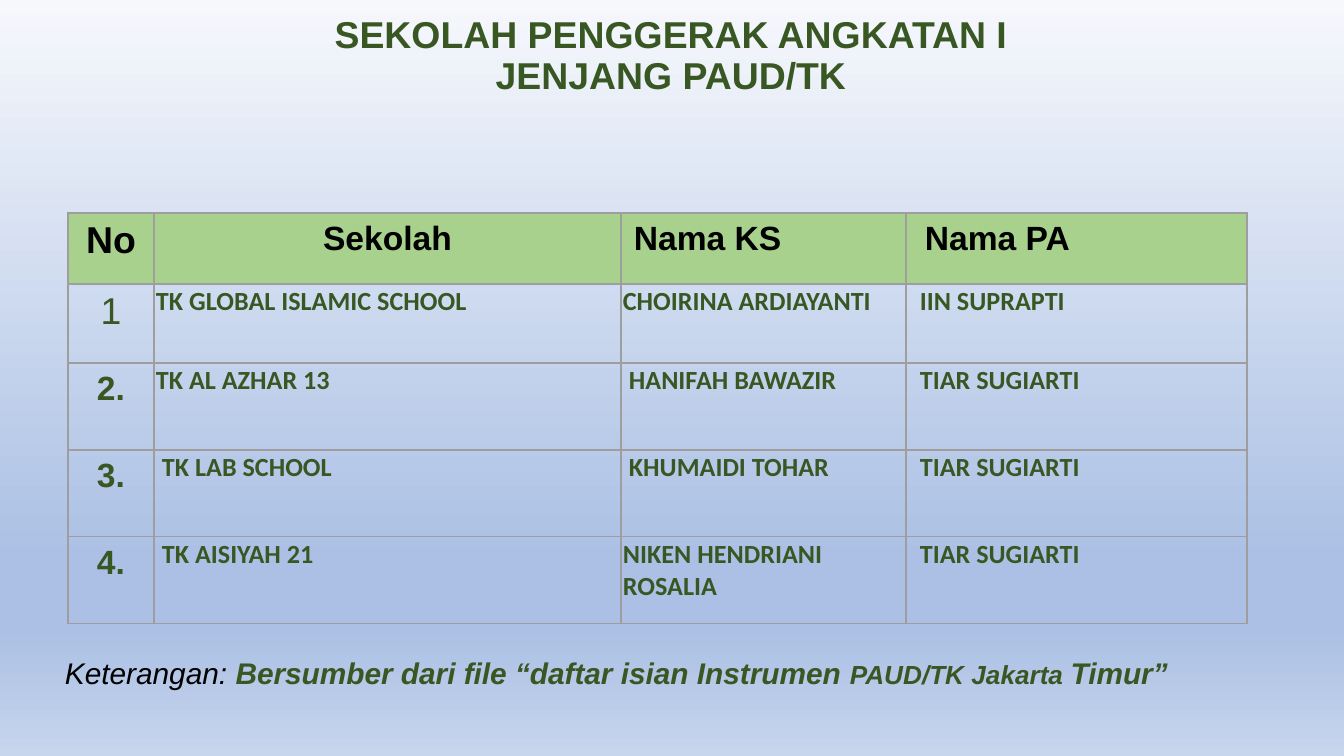
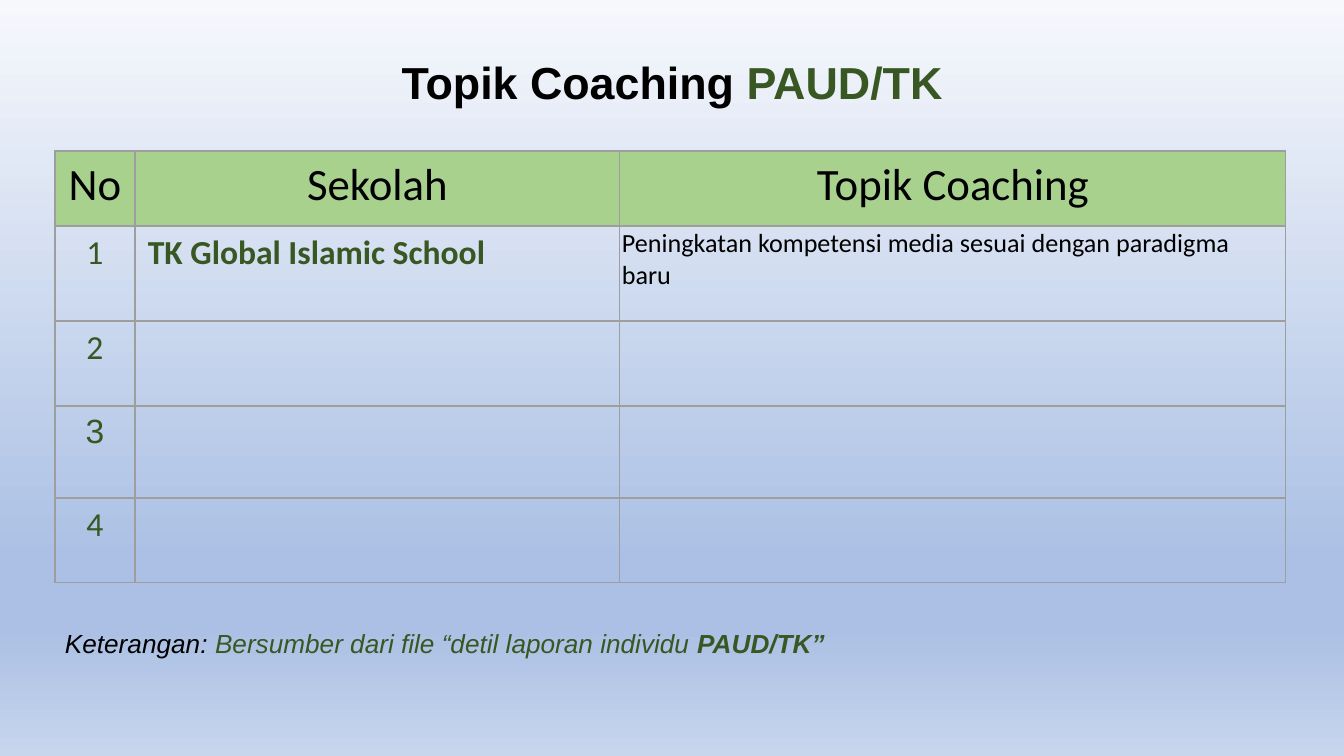
"""Build two slides on PAUD/TK schools: the school list and the coaching topics."""
from lxml import etree
from pptx import Presentation
from pptx.dml.color import RGBColor
from pptx.enum.text import MSO_ANCHOR, MSO_AUTO_SIZE, PP_ALIGN
from pptx.oxml import parse_xml
from pptx.oxml.ns import nsdecls, qn
from pptx.util import Emu, Pt

LEFT, CENTER = PP_ALIGN.LEFT, PP_ALIGN.CENTER
TOP, MIDDLE = MSO_ANCHOR.TOP, MSO_ANCHOR.MIDDLE
NO_FIT = MSO_AUTO_SIZE.NONE
EMU_PER_PX = 914400 / 134.4
NO_STYLE = "{2D5ABB26-0587-4C30-8999-92F81FD0307C}"
COLORS = {"green": "385723", "black": "000000", "header": "A9D18E", "border": "9E9E9E"}
SKY = [(0, "F6F8FC"), (74, "ABC0E4"), (83, "ABC0E4"), (100, "C7D5ED")]
PAD, TIGHT, SPACE = 13, 2, 6


def px(length):
    return Emu(round(length * EMU_PER_PX))


def write(paragraph, spans, face, align=LEFT, italic=False):
    paragraph.alignment = align
    paragraph.font.name = face
    paragraph.font.italic = italic
    for text, size, color, bold in spans:
        for line_index, line in enumerate(text.split("\n")):
            if line_index:
                paragraph.add_line_break()
            span = paragraph.add_run()
            span.text = line
            font = paragraph.font if len(spans) == 1 else span.font
            font.size = Pt(size)
            font.bold = bold
            font.color.rgb = RGBColor.from_string(COLORS[color])


schools = [
    ("TK GLOBAL ISLAMIC SCHOOL", 0, "CHOIRINA ARDIAYANTI", 0, "IIN SUPRAPTI"),
    ("TK AL AZHAR 13", 0, "HANIFAH BAWAZIR", 1, "TIAR SUGIARTI"),
    ("TK LAB SCHOOL", 1, "KHUMAIDI TOHAR", 1, "TIAR SUGIARTI"),
    ("TK AISIYAH 21", 1, "NIKEN HENDRIANI ROSALIA", 0, "TIAR SUGIARTI"),
]
school_cells = [[
    ("No", 20, "black", True, "Arial", CENTER, PAD),
    ("Sekolah", 18, "black", True, "Arial", CENTER, PAD),
    ("Nama KS", 18, "black", True, "Arial", LEFT, PAD),
    ("Nama PA", 18, "black", True, "Arial", LEFT, PAD + SPACE),
]]
for index, (school, school_indent, head, head_indent, assistant) in enumerate(schools, 1):
    text, points, bold = ("1", 20, False) if index == 1 else (f"{index}.", 18, True)
    entries = [(school, school_indent), (head, head_indent), (assistant, 2)]
    school_cells.append([(text, points, "green", bold, "Arial", CENTER, PAD)] + [
        (name, 14, "green", True, "Calibri", LEFT, TIGHT + indent * SPACE)
        for name, indent in entries
    ])

topic_cells = [[(text, 24, "black", False, "Calibri", CENTER, PAD)
                for text in ("No", "Sekolah", "Topik Coaching")]]
for index, face in enumerate(("Calibri", "Calibri", "Arial", "Calibri"), 1):
    topic_cells.append([(str(index), 18, "green", False, face, CENTER, PAD), None, None])
topic_cells[1][1:] = [
    ("TK Global Islamic School", 18, "green", True, "Calibri", LEFT, PAD),
    ("Peningkatan kompetensi media sesuai dengan paradigma baru",
     14, "black", False, "Calibri", LEFT, TIGHT),
]

pages = [
    {
        "title_at": (55, -16, 1232, 146),
        "title": [("SEKOLAH PENGGERAK ANGKATAN I\nJENJANG PAUD/TK", 20, "green", True)],
        "table_at": (68, 213),
        "columns": (86, 467, 285, 341),
        "rows": (71, 79, 87, 87, 87),
        "cells": school_cells,
        "caption_at": (55, 636, 1294, 78),
        "anchor": MIDDLE,
        "caption": [
            ("Keterangan: ", 16, "black", False),
            ("Bersumber dari file “daftar isian Instrumen ", 16, "green", True),
            ("PAUD/TK Jakarta ", 14, "green", True),
            ("Timur”", 16, "green", True),
        ],
    },
    {
        "title_at": (0, 54, 1344, 62),
        "title": [("Topik Coaching ", 24, "black", True), ("PAUD/TK", 24, "green", True)],
        "table_at": (55, 151),
        "columns": (80, 485, 666),
        "rows": (75, 95, 85, 92, 85),
        "cells": topic_cells,
        "caption_at": (55, 626, 1232, 59),
        "anchor": TOP,
        "caption": [
            ("Keterangan: ", 14, "black", False),
            ("Bersumber dari file “detil laporan individu ", 14, "green", False),
            ("PAUD/TK”", 14, "green", True),
        ],
    },
]

deck = Presentation()
deck.slide_width, deck.slide_height = px(1344), px(756)
master = deck.slide_master
sky = master.background.fill
sky.gradient()
sky.gradient_angle = 270
stops = master.element.xpath(".//p:bg//a:gsLst")[0]
for stop in list(stops):
    stops.remove(stop)
for position, color in SKY:
    stop = etree.SubElement(stops, qn("a:gs"), pos=str(position * 1000))
    etree.SubElement(stop, qn("a:srgbClr"), val=color)

for content in pages:
    page = deck.slides.add_slide(deck.slide_layouts[5])
    title = page.shapes.title
    title.left, title.top, title.width, title.height = map(px, content["title_at"])
    caption = page.shapes.add_textbox(*map(px, content["caption_at"]))
    for box, anchor, spans, align in (
        (title, MIDDLE, content["title"], CENTER),
        (caption, content["anchor"], content["caption"], LEFT),
    ):
        frame = box.text_frame
        frame.word_wrap = True
        frame.auto_size = NO_FIT
        frame.vertical_anchor = anchor
        frame.margin_left = frame.margin_right = px(10)
        frame.margin_top = frame.margin_bottom = px(5)
        frame.paragraphs[0].line_spacing = 0.9
        write(frame.paragraphs[0], spans, "Arial", align, box is caption)

    columns, rows = content["columns"], content["rows"]
    size = px(sum(columns)), px(sum(rows))
    table = page.shapes.add_table(
        len(rows), len(columns), *map(px, content["table_at"]), *size).table
    table.first_row = table.horz_banding = False
    table._tbl.tblPr.find(qn("a:tableStyleId")).text = NO_STYLE
    for column, width in zip(table.columns, columns):
        column.width = px(width)
    for row_index, (row, height) in enumerate(zip(table.rows, rows)):
        row.height = px(height)
        for cell, entry in zip(row.cells, content["cells"][row_index]):
            if entry:
                text, points, color, bold, face, align, indent = entry
                tight = points == 14
                cell.margin_left = px(indent)
                cell.margin_right = px(TIGHT if tight else PAD)
                cell.margin_top = px(2 if tight else 7)
                cell.margin_bottom = px(0 if tight else 7)
                write(cell.text_frame.paragraphs[0], [(text, points, color, bold)], face, align)
            properties = cell._tc.get_or_add_tcPr()
            for side in ("lnL", "lnR", "lnT", "lnB"):
                properties.append(parse_xml(
                    f'<a:{side} {nsdecls("a")} w="9525"><a:solidFill>'
                    f'<a:srgbClr val="{COLORS["border"]}"/></a:solidFill></a:{side}>'))
            if row_index == 0:
                cell.fill.solid()
                cell.fill.fore_color.rgb = RGBColor.from_string(COLORS["header"])
            else:
                cell.fill.background()

deck.save("out.pptx")
